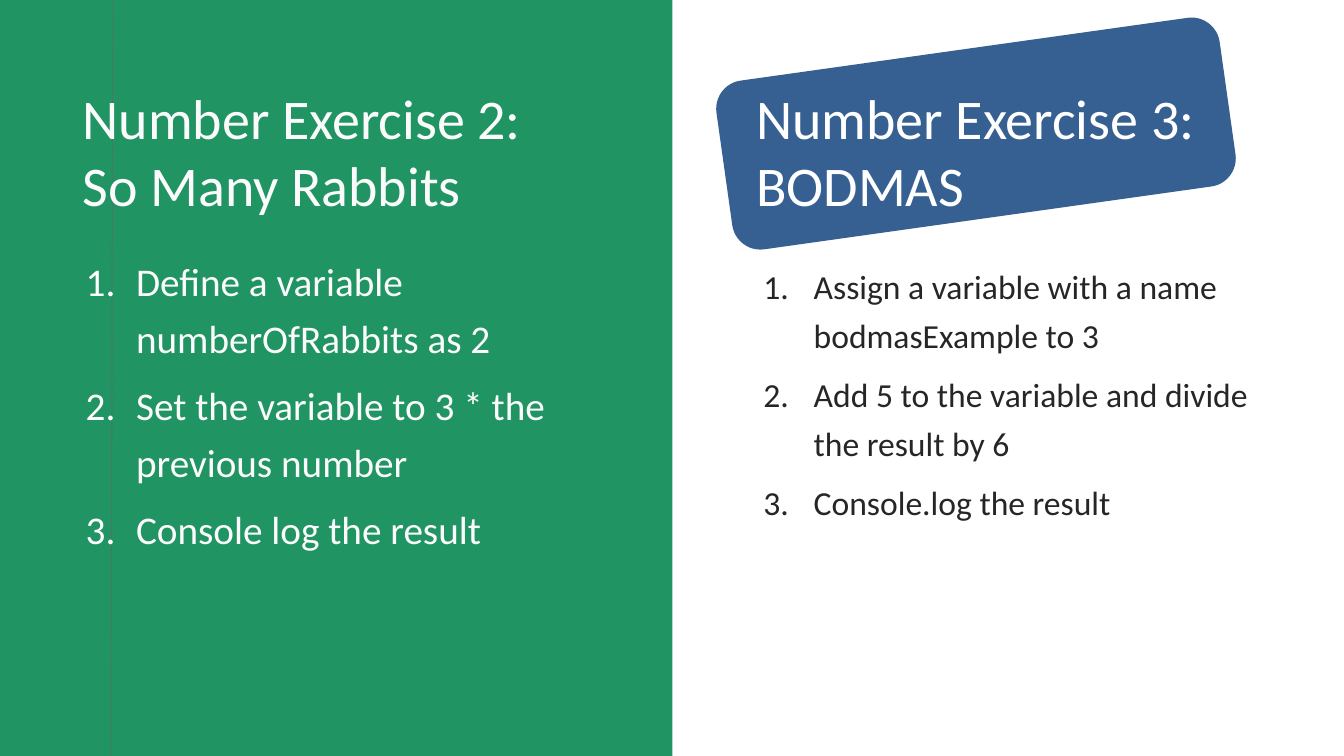
from pptx import Presentation
from pptx import util as u
from pptx.dml import color
from pptx.enum import dml, shapes, text
from pptx.oxml.xmlchemy import OxmlElement

PX = 9144
WIDTH, HEIGHT = 1333, 750
FONT = "Calibri"
WHITE, PALE, INK = "FFFFFF", "FBFBFB", "262626"
GREEN, BLUE, GREY = "209462", "376092", "666666"


def px(n):
    """Turn px, a hundred to the inch, into EMU."""
    return u.Emu(n * PX)


def rgb(value):
    """Turn a hex string into a colour."""
    return color.RGBColor.from_string(value)


def place(sp, box):
    """Move a shape to a box of left, top, width and height."""
    sp.left, sp.top, sp.width, sp.height = map(px, box)


def add_run(p, content, size, fill):
    """Add one formatted run to a paragraph."""
    r = p.add_run()
    r.text = content
    r.font.name = FONT
    r.font.size = u.Pt(size)
    r.font.color.rgb = rgb(fill)


def set_frame(tf, inset):
    """Give a text frame wrapping, top anchoring and fixed insets."""
    tf.word_wrap = True
    tf.auto_size = text.MSO_AUTO_SIZE.NONE
    tf.vertical_anchor = text.MSO_ANCHOR.TOP
    tf.margin_left = tf.margin_right = px(inset)
    tf.margin_top = tf.margin_bottom = px(5)


def fill_heading(sp, box, lines, fill):
    """Place a heading and write its lines."""
    place(sp, box)
    tf = sp.text_frame
    set_frame(tf, 7)
    p = tf.paragraphs[0]
    p.alignment = text.PP_ALIGN.LEFT
    for i, line in enumerate(lines):
        if i:
            p.add_line_break()
        add_run(p, line, 40, fill)


def number_paragraph(p, fill):
    """Give a paragraph a hanging automatic number."""
    pPr = p._p.get_or_add_pPr()
    pPr.set("marL", str(px(50)))
    pPr.set("indent", str(px(-50)))
    tint = OxmlElement("a:buClr")
    srgb = OxmlElement("a:srgbClr")
    srgb.set("val", fill)
    tint.append(srgb)
    number = OxmlElement("a:buAutoNum")
    number.set("type", "arabicPeriod")
    pPr.extend([tint, number])


def fill_steps(sp, box, steps, size, fill, number_fill):
    """Place a body placeholder and write its numbered steps."""
    place(sp, box)
    tf = sp.text_frame
    set_frame(tf, 10)
    for i, step in enumerate(steps):
        p = tf.add_paragraph() if i else tf.paragraphs[0]
        p.alignment = text.PP_ALIGN.LEFT
        p.line_spacing = 1.2
        p.space_before, p.space_after = u.Pt(0), u.Pt(8)
        number_paragraph(p, number_fill)
        add_run(p, step, size, fill)


def add_block(s, kind, box, fill, rotation=0):
    """Add a plain filled shape behind the text."""
    sp = s.shapes.add_shape(kind, *map(px, box))
    sp.shadow.inherit = False
    sp.fill.solid()
    sp.fill.fore_color.rgb = rgb(fill)
    sp.line.fill.background()
    sp.rotation = rotation
    s.shapes.title.element.addprevious(sp.element)


def add_margin_line(s, start, end):
    """Add the dotted margin line behind the text."""
    line = s.shapes.add_connector(
        shapes.MSO_CONNECTOR.STRAIGHT, *map(px, start + end))
    line.line.color.rgb = rgb(GREY)
    line.line.width = u.Pt(0.75)
    line.line.dash_style = dml.MSO_LINE.ROUND_DOT
    line.element.spPr.append(OxmlElement("a:effectLst"))
    s.shapes.title.element.addprevious(line.element)


def build_rabbits(s, box):
    """Build the green exercise panel in its box."""
    x, y, w, h = box
    add_block(s, shapes.MSO_SHAPE.RECTANGLE, box, GREEN)
    add_margin_line(s, (x + 110, y + h + 2), (x + 112, y))
    fill_heading(s.shapes.title, (x + 75, y + 78, 545, 100),
                 ["Number Exercise 2:", "So Many Rabbits"], PALE)
    fill_steps(s.placeholders[1], (x + 75, y + 241, 545, 475),
               ["Define a variable numberOfRabbits as 2",
                "Set the variable to 3 * the previous number",
                "Console log the result"], 28, PALE, WHITE)


def build_bodmas(s, box):
    """Build the white exercise panel in its box."""
    x, y, w, h = box
    add_block(s, shapes.MSO_SHAPE.ROUNDED_RECTANGLE,
              (x + 49, y + 48, 504, 169), BLUE, 352)
    heading = s.shapes.add_textbox(0, 0, 0, 0)
    fill_heading(heading, (x + 76, y + 78, 545, 100),
                 ["Number Exercise 3: BODMAS"], WHITE)
    fill_steps(s.placeholders[2], (x + 80, y + 251, 542, 389),
               ["Assign a variable with a name bodmasExample to 3",
                "Add 5 to the variable and divide the result by 6",
                "Console.log the result"], 24, INK, INK)


def main():
    """Build and save the slide."""
    prs = Presentation()
    prs.slide_width, prs.slide_height = px(WIDTH), px(HEIGHT)
    s = prs.slides.add_slide(prs.slide_layouts[3])
    s.background.fill.solid()
    s.background.fill.fore_color.rgb = rgb(WHITE)
    half = 667
    build_rabbits(s, (0, 0, half, HEIGHT))
    build_bodmas(s, (half, 0, WIDTH - half, HEIGHT))
    prs.save("out.pptx")


if __name__ == "__main__":
    main()
